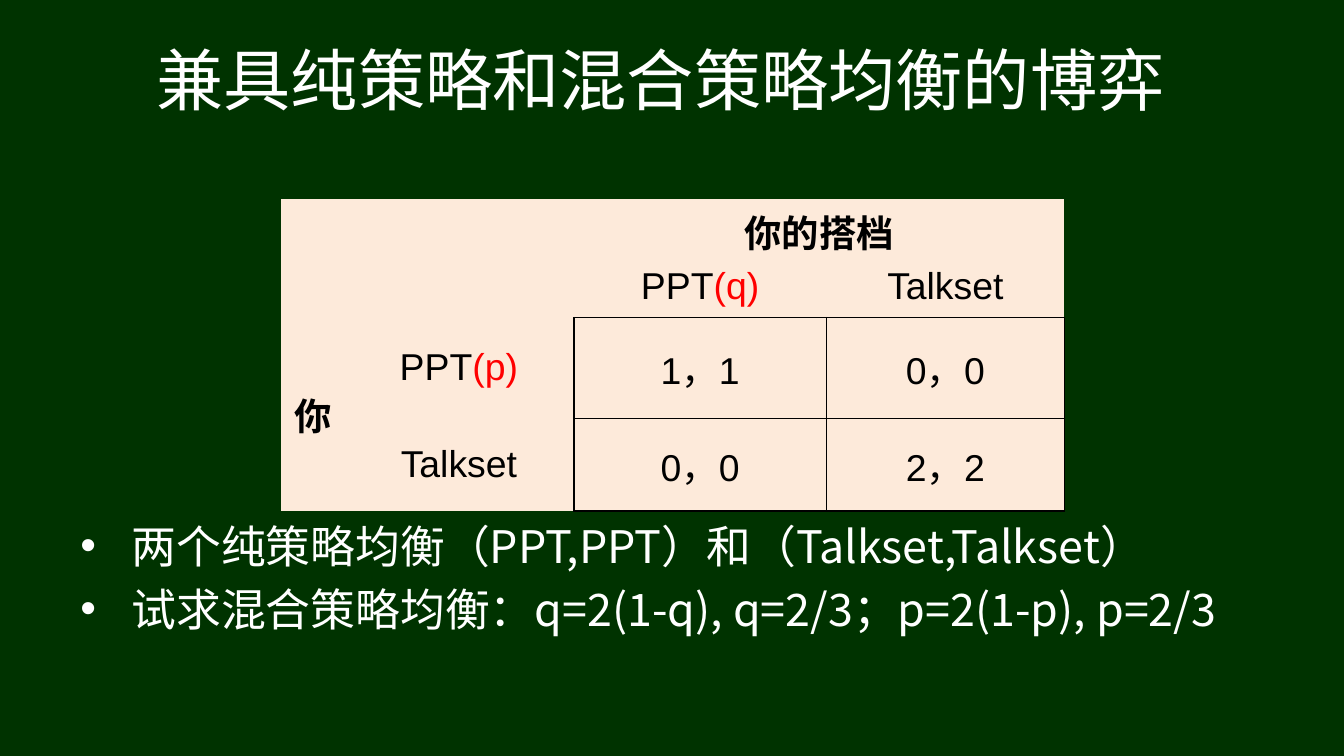
"""Build a slide on a game with pure and mixed strategy equilibria."""
from dataclasses import dataclass

from lxml import etree
from pptx import Presentation
from pptx.dml.color import RGBColor
from pptx.enum.text import MSO_ANCHOR, PP_ALIGN
from pptx.oxml.ns import qn
from pptx.util import Inches, Pt

CENTER = PP_ALIGN.CENTER
MIDDLE = MSO_ANCHOR.MIDDLE
GREEN = RGBColor(0x00, 0x33, 0x00)
CREAM = RGBColor(0xFD, 0xEA, 0xDA)
WHITE = RGBColor(0xFF, 0xFF, 0xFF)
BLACK = RGBColor(0x00, 0x00, 0x00)
RED = RGBColor(0xFF, 0x00, 0x00)
HAN_FONT = "Noto Sans CJK SC"
TABLE_FONT = "Arial"
COLUMN_WIDTHS = (0.47, 1.71, 1.88, 1.77)
ROW_HEIGHTS = (0.41, 0.47, 0.75, 0.69)
FIRST_PAYOFF = 2


@dataclass(frozen=True)
class Entry:
    row: int
    column: int
    text: str
    probability: str = ""
    bold: bool = False


ENTRIES = (
    Entry(0, 2, "你的搭档", bold=True),
    Entry(1, 2, "PPT", "(q)"),
    Entry(1, 3, "Talkset"),
    Entry(2, 0, "你", bold=True),
    Entry(2, 1, "PPT", "(p)"),
    Entry(2, 2, "1，1"),
    Entry(2, 3, "0，0"),
    Entry(3, 1, "Talkset"),
    Entry(3, 2, "0，0"),
    Entry(3, 3, "2，2"),
)
POINTS = (
    "两个纯策略均衡（PPT,PPT）和（Talkset,Talkset）",
    "试求混合策略均衡：q=2(1-q), q=2/3；p=2(1-p), p=2/3",
)


def add_span(para, text: str, size: float, font: str, color: RGBColor, bold: bool = False) -> None:
    """Add one formatted run, with the East Asian font set too."""
    span = para.add_run()
    span.text = text
    span.font.size = Pt(size)
    span.font.name = font
    span.font.bold = bold
    span.font.color.rgb = color
    etree.SubElement(span.font._element, qn("a:ea"), typeface=HAN_FONT)


def is_payoff(row: int, column: int) -> bool:
    """Tell whether a grid position lies in the payoff matrix."""
    return (FIRST_PAYOFF <= row < len(ROW_HEIGHTS)
            and FIRST_PAYOFF <= column < len(COLUMN_WIDTHS))


def set_borders(cell, row: int, column: int) -> None:
    """Rule the edges that touch a payoff and clear the others."""
    neighbours = {
        "a:lnL": (row, column - 1),
        "a:lnR": (row, column + 1),
        "a:lnT": (row - 1, column),
        "a:lnB": (row + 1, column),
    }
    properties = cell._tc.get_or_add_tcPr()
    for index, (tag, neighbour) in enumerate(neighbours.items()):
        line = etree.Element(qn(tag), w=str(Pt(1)))
        if is_payoff(row, column) or is_payoff(*neighbour):
            fill = etree.SubElement(line, qn("a:solidFill"))
            etree.SubElement(fill, qn("a:srgbClr"), val=str(BLACK))
        else:
            etree.SubElement(line, qn("a:noFill"))
        properties.insert(index, line)


def add_title(page, text: str) -> None:
    """Place and fill the title."""
    title = page.shapes.title
    title.left, title.top = Inches(0), Inches(0.23)
    title.width, title.height = Inches(9.83), Inches(0.71)
    title.text_frame.vertical_anchor = MIDDLE
    para = title.text_frame.paragraphs[0]
    para.alignment = CENTER
    add_span(para, text, 36, HAN_FONT, WHITE)


def add_game(page, entries: tuple[Entry, ...]) -> None:
    """Draw the payoff table."""
    table = page.shapes.add_table(
        len(ROW_HEIGHTS), len(COLUMN_WIDTHS), Inches(2.09), Inches(1.48),
        Inches(sum(COLUMN_WIDTHS)), Inches(sum(ROW_HEIGHTS))).table
    table.first_row = False
    table.horz_banding = False
    for column, width in zip(table.columns, COLUMN_WIDTHS):
        column.width = Inches(width)
    for row_index, height in enumerate(ROW_HEIGHTS):
        table.rows[row_index].height = Inches(height)
        for column_index in range(len(COLUMN_WIDTHS)):
            cell = table.cell(row_index, column_index)
            cell.fill.solid()
            cell.fill.fore_color.rgb = CREAM
            cell.margin_top = cell.margin_bottom = Inches(0.04)
            cell.vertical_anchor = MIDDLE
            set_borders(cell, row_index, column_index)
    table.cell(0, 2).merge(table.cell(0, 3))
    table.cell(2, 0).merge(table.cell(3, 0))
    for entry in entries:
        para = table.cell(entry.row, entry.column).text_frame.paragraphs[0]
        para.alignment = CENTER
        add_span(para, entry.text, 20, TABLE_FONT, BLACK, entry.bold)
        if entry.probability:
            add_span(para, entry.probability, 20, TABLE_FONT, RED)


def add_points(page, points: tuple[str, ...]) -> None:
    """Write the bulleted findings below the table."""
    box = page.shapes.add_textbox(Inches(0.5), Inches(3.81), Inches(9), Inches(1.08))
    frame = box.text_frame
    frame.word_wrap = True
    for index, text in enumerate(points):
        para = frame.add_paragraph() if index else frame.paragraphs[0]
        para.space_before = Pt(4.8)
        properties = para._p.get_or_add_pPr()
        properties.set("marL", str(Inches(0.38)))
        properties.set("indent", str(-Inches(0.38)))
        etree.SubElement(properties, qn("a:buFont"), typeface="Arial")
        etree.SubElement(properties, qn("a:buChar"), char="•")
        add_span(para, text, 24, HAN_FONT, WHITE)


def main() -> None:
    """Assemble and save the deck."""
    deck = Presentation()
    deck.slide_width = Inches(10)
    deck.slide_height = deck.slide_width * 9 // 16
    page = deck.slides.add_slide(deck.slide_layouts.get_by_name("Title Only"))
    page.background.fill.solid()
    page.background.fill.fore_color.rgb = GREEN
    add_title(page, "兼具纯策略和混合策略均衡的博弈")
    add_points(page, POINTS)
    add_game(page, ENTRIES)
    deck.save("out.pptx")


if __name__ == "__main__":
    main()
